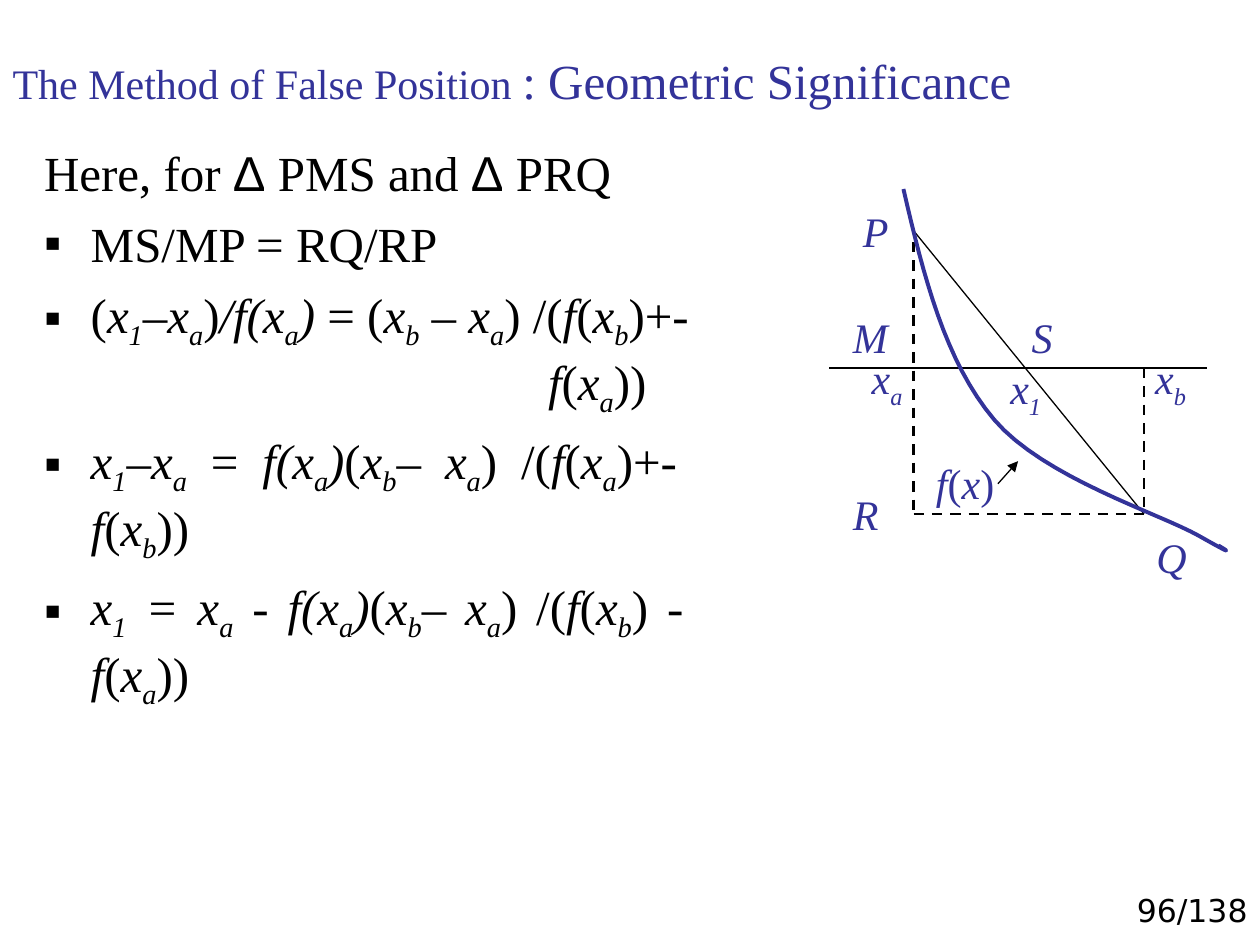
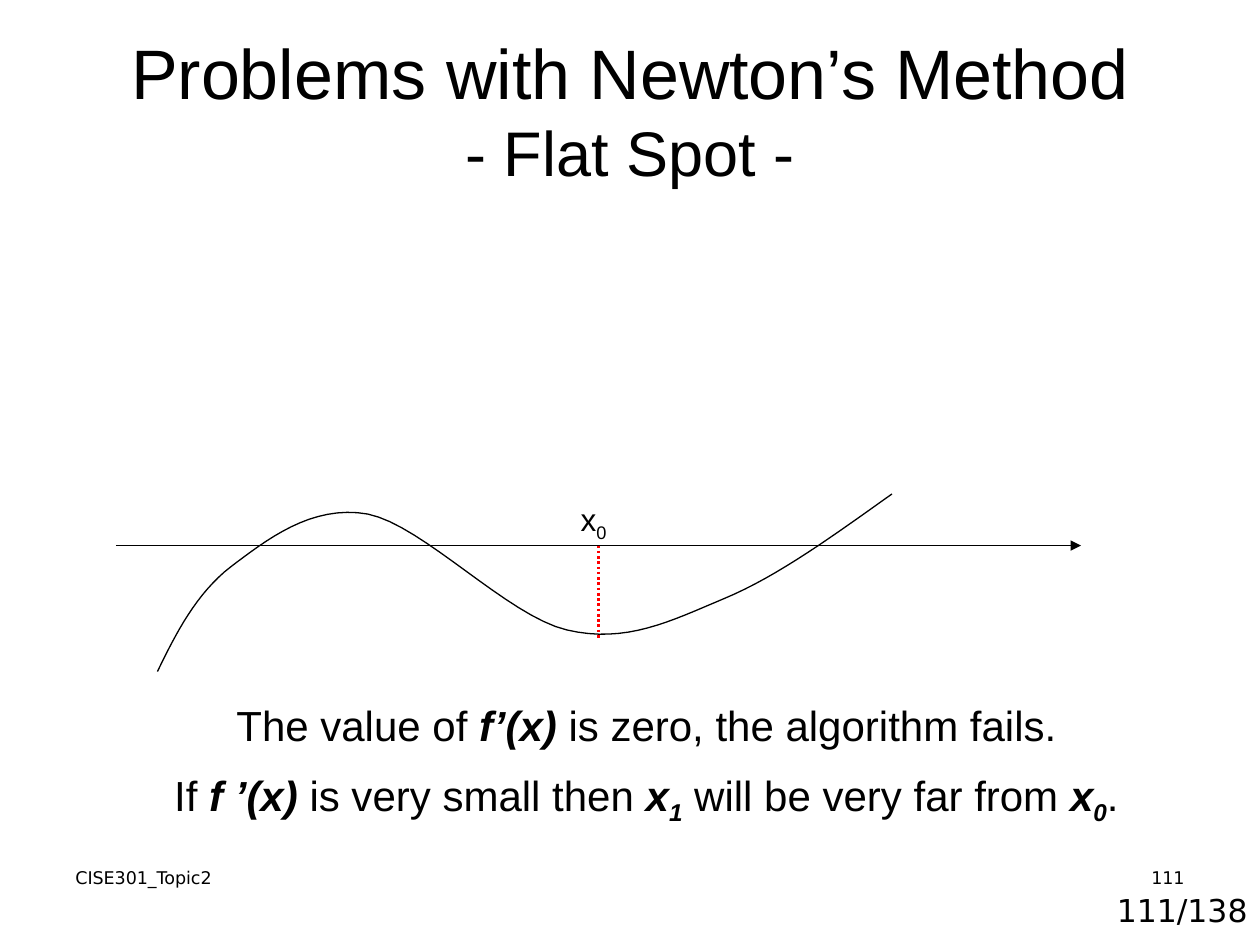
from dataclasses import dataclass
from itertools import groupby

from lxml import etree
from pptx import Presentation
from pptx.dml.color import RGBColor
from pptx.enum.dml import MSO_LINE
from pptx.enum.shapes import MSO_CONNECTOR
from pptx.enum.text import MSO_ANCHOR, MSO_AUTO_SIZE, PP_ALIGN
from pptx.oxml.ns import qn
from pptx.util import Inches, Pt

LEFT, CENTER, RIGHT, JUSTIFY = PP_ALIGN.LEFT, PP_ALIGN.CENTER, PP_ALIGN.RIGHT, PP_ALIGN.JUSTIFY
TOP, BOTTOM = MSO_ANCHOR.TOP, MSO_ANCHOR.BOTTOM
NO_FIT = MSO_AUTO_SIZE.NONE
DASH, DOTS = MSO_LINE.DASH, MSO_LINE.ROUND_DOT
STRAIGHT = MSO_CONNECTOR.STRAIGHT
TITLE_AND_BODY, TITLE_ONLY = 1, 5
CURVE_STEPS = 16
PAGE_COUNT = 138


@dataclass(frozen=True)
class Theme:
    """Colours, fonts and type sizes shared by the slides."""
    ink: RGBColor = RGBColor(0, 0, 0)
    blue: RGBColor = RGBColor(0x33, 0x33, 0x99)
    red: RGBColor = RGBColor(0xFF, 0, 0)
    serif: str = "Times New Roman"
    sans: str = "Arial"
    footer: str = "DejaVu Sans"
    headline: int = 40
    subtitle: int = 36
    body: int = 28
    label: int = 24
    small: int = 18
    tiny: int = 10


@dataclass(frozen=True)
class Box:
    """A region in inches that places points relative to its corner."""
    left: float
    top: float
    width: float
    height: float

    def inner(self, x, y, width, height):
        """Return a box at an offset inside this one."""
        return Box(self.left + x, self.top + y, width, height)

    def point(self, x, y):
        """Return the slide position of an offset."""
        return Inches(self.left + x), Inches(self.top + y)


THEME = Theme()


def set_font(para, name, size, color=THEME.ink):
    """Format a whole paragraph."""
    para.font.name = name
    para.font.size = Pt(size)
    para.font.color.rgb = color


def write(para, markup, size=None, bold=False):
    """Add text in which * toggles italics and ~ lowers the next character."""
    styled, italic, lowered = [], False, False
    for char in markup:
        if char == "*":
            italic = not italic
        elif char == "~":
            lowered = True
        else:
            styled.append((char, (italic, lowered, char == "Δ")))
            lowered = False
    for (italic, lowered, is_delta), group in groupby(styled, key=lambda item: item[1]):
        span = para.add_run()
        span.text = "".join(char for char, _ in group)
        if italic:
            span.font.italic = True
            if bold:
                span.font.bold = True
        if size:
            span.font.size = Pt(size)
        if lowered:
            span.font._element.set("baseline", "-25000")
        if is_delta:
            span.font.name = THEME.sans


def place(shape, box, anchor=TOP):
    """Move a placeholder into a box and return its text frame."""
    shape.left, shape.top = box.point(0, 0)
    shape.width, shape.height = Inches(box.width), Inches(box.height)
    frame = shape.text_frame
    frame.auto_size = NO_FIT
    frame.word_wrap = True
    frame.vertical_anchor = anchor
    return frame


def add_text(page, box, markup, font, size, color=THEME.ink, align=LEFT, wrap=True):
    """Add a one-paragraph text box."""
    frame = page.shapes.add_textbox(
        *box.point(0, 0), Inches(box.width), Inches(box.height)).text_frame
    frame.word_wrap = wrap
    para = frame.paragraphs[0]
    para.alignment = align
    set_font(para, font, size, color)
    write(para, markup)


def add_line(page, box, start, end, color=THEME.ink, width=0.75, dash=None, arrow=False):
    """Draw a straight line between two offsets in a box."""
    line = page.shapes.add_connector(STRAIGHT, *box.point(*start), *box.point(*end))
    line.line.color.rgb = color
    line.line.width = Pt(width)
    if dash:
        line.line.dash_style = dash
    properties = line._element.spPr
    if arrow:
        etree.SubElement(properties.find(qn("a:ln")), qn("a:tailEnd"), type="triangle")
    etree.SubElement(properties, qn("a:effectLst"))


def bezier(start, first, second, end, t):
    """Return the point at t on a cubic curve."""
    weights = ((1 - t) ** 3, 3 * t * (1 - t) ** 2, 3 * t ** 2 * (1 - t), t ** 3)
    corners = (start, first, second, end)
    return tuple(sum(w * c[axis] for w, c in zip(weights, corners)) for axis in (0, 1))


def add_curve(page, box, controls, color, width):
    """Draw a chain of cubic curves through every third control point."""
    points = [box.point(*bezier(*controls[i:i + 4], step / CURVE_STEPS))
              for i in range(0, len(controls) - 1, 3)
              for step in range(1, CURVE_STEPS + 1)]
    builder = page.shapes.build_freeform(*box.point(*controls[0]), scale=1.0)
    builder.add_line_segments(points, close=False)
    curve = builder.convert_to_shape()
    curve.fill.background()
    curve.line.color.rgb = color
    curve.line.width = Pt(width)
    curve.shadow.inherit = False


def add_page_count(page, number):
    """Add the running page count at the bottom right."""
    add_text(page, Box(8.42, 7.02, 1.58, 0.48), f"{number}/{PAGE_COUNT}",
             THEME.footer, THEME.small, align=RIGHT)


def format_item(para, bulleted, tab_stop=None):
    """Set indents, bullet and tab stop of a list item."""
    properties = para._p.get_or_add_pPr()
    properties.set("marL", str(Inches(0.37)))
    properties.set("indent", str(-Inches(0.37)))
    if bulleted:
        etree.SubElement(properties, qn("a:buChar"), char="▪")
    else:
        etree.SubElement(properties, qn("a:buNone"))
    if tab_stop:
        stops = etree.SubElement(properties, qn("a:tabLst"))
        etree.SubElement(stops, qn("a:tab"), pos=str(Inches(tab_stop)), algn="l")
    para.alignment = LEFT if tab_stop else JUSTIFY
    para.space_before = Pt(7)
    set_font(para, THEME.serif, THEME.body)


def fill_derivation(frame):
    """Write the derivation of the false position formula."""
    items = (
        ("Here, for Δ PMS and Δ PRQ",),
        ("MS/MP = RQ/RP",),
        ("(*x~1–x~a*)*/f(x~a)* = (*x~b* – *x~a*) /(*f*(*x~b*)+-", "\t*f*(*x~a*))"),
        ("*x~1–x~a* = *f(x~a)*(*x~b*– *x~a*) /(*f*(*x~a*)+-\t*f*(*x~b*))",),
        ("*x~1 = x~a* - *f(x~a)*(*x~b*– *x~a*) /(*f*(*x~b*) -\t*f*(*x~a*))",),
    )
    for index, lines in enumerate(items):
        para = frame.paragraphs[0] if index == 0 else frame.add_paragraph()
        format_item(para, index > 0, tab_stop=4 if len(lines) > 1 else None)
        write(para, lines[0])
        for line in lines[1:]:
            para.add_line_break()
            write(para, line)


def draw_secant(page, box):
    """Draw the chord PQ, its similar triangles and the curve f(x)."""
    labels = (
        ("*P*", 0.17, 0.08, 0.4), ("*R*", 0.09, 2.33, 0.4), ("*Q*", 2.5, 2.67, 0.44),
        ("*M*", 0.09, 0.92, 0.48), ("*S*", 1.51, 0.92, 0.36), ("*x~a*", 0.24, 1.25, 0.52),
        ("*x~b*", 2.49, 1.25, 0.52), ("*x~1*", 1.34, 1.33, 0.52),
        ("*f*(*x*)", 0.75, 2.08, 0.75),
    )
    left, right, axis, base = 0.67, 2.5, 1.42, 2.58
    for start, end in (((left, base), (right, base)), ((left, 0.42), (left, base)),
                       ((right, axis), (right, base))):
        add_line(page, box, start, end, width=1.5, dash=DASH)
    add_line(page, box, (0, axis), (box.width, axis))
    add_line(page, box, (left, 0.33), (right, base))
    add_curve(page, box, (
        (0.59, 0), (0.75, 0.69), (0.92, 1.37), (1.31, 1.83), (1.7, 2.29), (2.63, 2.58),
        (2.93, 2.75), (3.23, 2.92), (3.16, 2.87), (3.09, 2.83)), THEME.blue, 2.25)
    for markup, x, y, width in labels:
        add_text(page, box.inner(x, y, width, 0.5), markup, THEME.serif, THEME.label,
                 THEME.blue, wrap=width > 0.5)
    add_line(page, box, (1.34, 2.34), (1.5, 2.16), arrow=True)


def draw_flat_spot(page, box):
    """Draw a wave whose slope is zero at the starting point."""
    axis, start = 0.41, 3.83
    add_line(page, box, (0, axis), (box.width, axis), arrow=True)
    add_line(page, box, (start, axis), (start, 1.16), THEME.red, 1.5, DOTS)
    add_text(page, box.inner(3.59, 0, 0.5, 0.44), "x~0", THEME.sans, THEME.small)
    add_curve(page, box, (
        (0.33, 1.41), (0.48, 1.1), (0.64, 0.79), (0.91, 0.58), (1.19, 0.37), (1.55, 0.08),
        (2, 0.16), (2.44, 0.25), (3.11, 0.97), (3.58, 1.08), (4.05, 1.19), (4.4, 1.01),
        (4.83, 0.83), (5.26, 0.65), (5.71, 0.32), (6.16, 0)), THEME.ink, 0.75)


def add_conclusion(page, box):
    """State what a flat spot does to the algorithm."""
    frame = page.shapes.add_textbox(
        *box.point(0, 0), Inches(box.width), Inches(box.height)).text_frame
    frame.word_wrap = True
    lines = ("The value of *f’(x)* is zero, the algorithm fails.",
             "If *f ’(x)* is very small then *x~1* will be very far from *x~0*.")
    for index, line in enumerate(lines):
        para = frame.paragraphs[0] if index == 0 else frame.add_paragraph()
        para.alignment = CENTER
        para.space_before = Pt(11.2)
        set_font(para, THEME.sans, THEME.label)
        write(para, line, bold=True)


def build_false_position(deck):
    """Build the slide on the geometry of false position."""
    page = deck.slides.add_slide(deck.slide_layouts[TITLE_AND_BODY])
    add_page_count(page, 96)
    title = place(page.shapes.title, Box(0, 0.25, 8.64, 0.67), BOTTOM).paragraphs[0]
    title.alignment = LEFT
    set_font(title, THEME.serif, THEME.label, THEME.blue)
    write(title, "The Method of False Position ")
    write(title, ": Geometric Significance", THEME.body)
    fill_derivation(place(page.placeholders[1], Box(0.25, 1.08, 5.5, 4.67)))
    draw_secant(page, Box(6.58, 1.5, 3, 2.92))


def build_flat_spot(deck):
    """Build the slide on flat spots in Newton's method."""
    page = deck.slides.add_slide(deck.slide_layouts[TITLE_ONLY])
    add_page_count(page, 111)
    for left, text, align in ((0.5, "CISE301_Topic2", LEFT), (7.17, "111", RIGHT)):
        add_text(page, Box(left, 6.83, 2.33, 0.5), text, THEME.footer, THEME.tiny, align=align)
    title = place(page.shapes.title, Box(0.5, 0.3, 9, 1.25), BOTTOM).paragraphs[0]
    title.alignment = CENTER
    set_font(title, THEME.sans, THEME.headline)
    write(title, "Problems with Newton’s Method")
    title.add_line_break()
    write(title, "- Flat Spot -", THEME.subtitle)
    add_conclusion(page, Box(0.92, 5.5, 8.42, 1.11))
    draw_flat_spot(page, Box(0.92, 3.92, 7.66, 1.42))


def main():
    """Build and save the deck."""
    deck = Presentation()
    deck.slide_width, deck.slide_height = Inches(10), Inches(7.5)
    build_false_position(deck)
    build_flat_spot(deck)
    deck.save("out.pptx")


if __name__ == "__main__":
    main()
